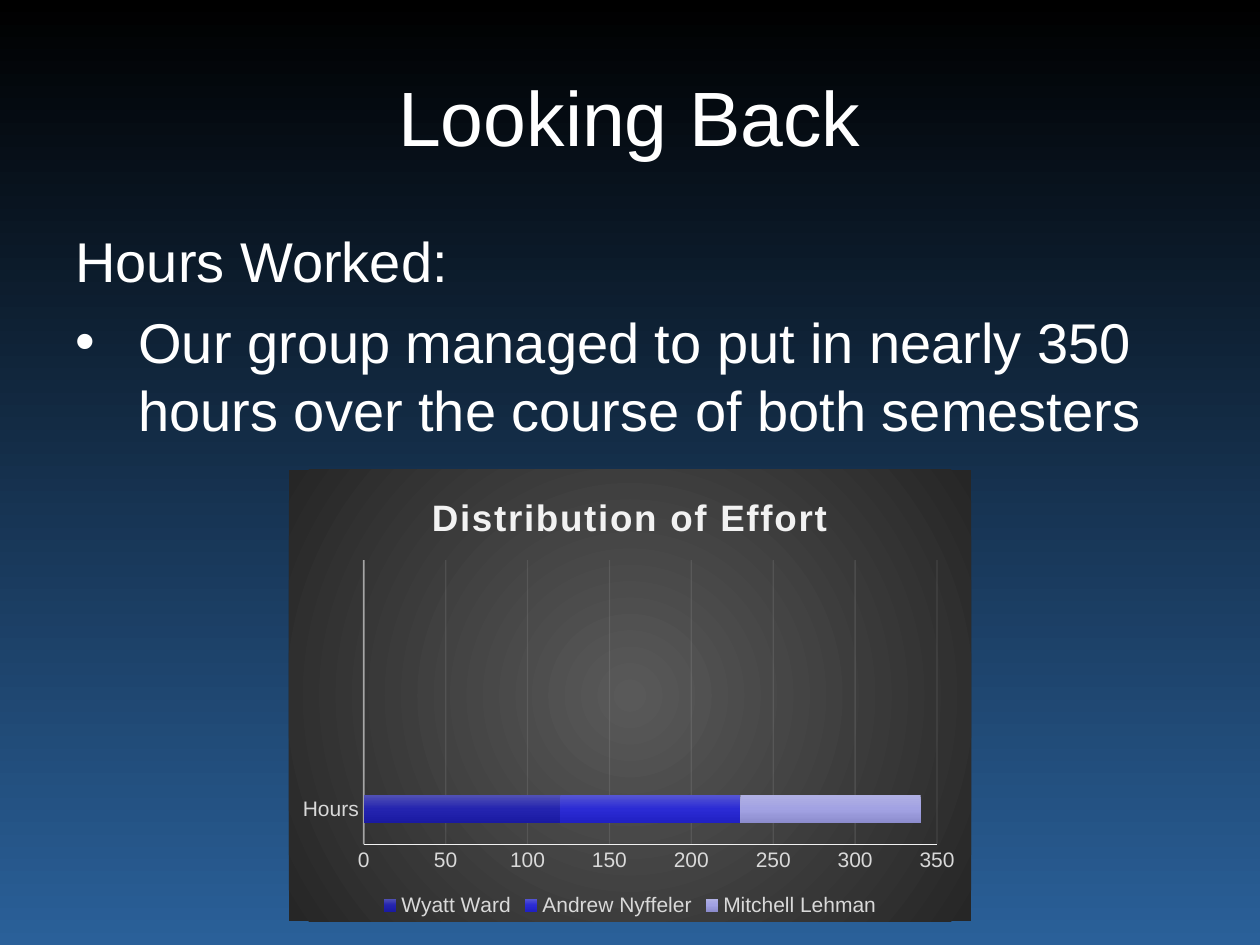
from dataclasses import dataclass

from lxml import etree
from pptx import Presentation
from pptx.chart.data import CategoryChartData
from pptx.dml.color import RGBColor
from pptx.enum.chart import XL_CHART_TYPE, XL_LEGEND_POSITION, XL_TICK_MARK
from pptx.enum.text import MSO_ANCHOR, PP_ALIGN
from pptx.oxml import parse_xml
from pptx.oxml.ns import qn
from pptx.util import Pt

STACKED = XL_CHART_TYPE.BAR_STACKED
BOTTOM = XL_LEGEND_POSITION.BOTTOM
NO_TICK = XL_TICK_MARK.NONE
TOP, MIDDLE = MSO_ANCHOR.TOP, MSO_ANCHOR.MIDDLE
LEFT, CENTER = PP_ALIGN.LEFT, PP_ALIGN.CENTER

FONT = "Arial"
COLORS = {"text": "FFFFFF", "label": "D9D9D9", "line": "F2F2F2"}
BACKGROUND = {0: "000000", 100: "2A6099"}
CHART_FILL = {0: "595959", 100: "262626"}
LINEAR = '<a:lin ang="5400000" scaled="0"/>'
RADIAL = '<a:path path="circle"><a:fillToRect l="50000" t="50000" r="50000" b="50000"/></a:path>'
DRAWING = 'xmlns:a="http://schemas.openxmlformats.org/drawingml/2006/main"'
CHART = 'xmlns:c="http://schemas.openxmlformats.org/drawingml/2006/chart"'


@dataclass
class TextLine:
    text: str
    size: float
    align: PP_ALIGN = LEFT
    space_before: float = 0
    bullet_indent: float = 0


@dataclass
class Member:
    name: str
    hours: int
    stops: dict[int, str]


MEMBERS = [
    Member("Wyatt Ward", 120, {0: "5252B5", 50: "2424AF", 100: "1A1AA2"}),
    Member("Andrew Nyffeler", 110, {0: "5757D3", 50: "2B2BD4", 100: "2020C3"}),
    Member("Mitchell Lehman", 110, {0: "B0B0E4", 50: "A2A2E3", 100: "8C8CCD"}),
]


def gradient_xml(stops: dict[int, str], direction: str = LINEAR) -> str:
    stop_xml = "".join(
        f'<a:gs pos="{position * 1000}"><a:srgbClr val="{color}"/></a:gs>'
        for position, color in stops.items()
    )
    return f'<a:gradFill {DRAWING} rotWithShape="1"><a:gsLst>{stop_xml}</a:gsLst>{direction}</a:gradFill>'


def fill_gradient(fill, owner, stops: dict[int, str]) -> None:
    fill.solid()
    solid = next(owner.iter(qn("a:solidFill")))
    solid.getparent().replace(solid, parse_xml(gradient_xml(stops)))


def style_font(font, size: float, color: str) -> None:
    font.name = FONT
    font.size = Pt(size)
    font.color.rgb = RGBColor.from_string(COLORS[color])


def style_line(line, width: float, opacity: int = 100) -> None:
    line.width = Pt(width)
    line.color.rgb = RGBColor.from_string(COLORS["line"])
    if opacity < 100:
        color = line.fill._xPr.find(".//" + qn("a:srgbClr"))
        etree.SubElement(color, qn("a:alpha"), val=str(opacity * 1000))


def add_text(slide, box: tuple, lines: list[TextLine], anchor: MSO_ANCHOR) -> None:
    frame = slide.shapes.add_textbox(*map(Pt, box)).text_frame
    frame.word_wrap = True
    frame.vertical_anchor = anchor
    for index, line in enumerate(lines):
        paragraph = frame.add_paragraph() if index else frame.paragraphs[0]
        paragraph.text = line.text
        paragraph.alignment = line.align
        paragraph.space_before = Pt(line.space_before)
        style_font(paragraph.font, line.size, "text")
        if line.bullet_indent:
            properties = paragraph._p.get_or_add_pPr()
            indent = Pt(line.bullet_indent)
            properties.set("marL", str(indent))
            properties.set("indent", str(-indent))
            for tag in (f'buFont {DRAWING} typeface="{FONT}"', f'buChar {DRAWING} char="\u2022"'):
                bullet = parse_xml(f"<a:{tag}/>")
                properties.insert_element_before(bullet, "a:tabLst", "a:defRPr", "a:extLst")


def layout_xml(target: str, **fractions: float) -> str:
    inner = f'<c:layoutTarget val="{target}"/>' if target else ""
    modes = "".join(f'<c:{axis}Mode val="edge"/>' for axis in "xy")
    values = "".join(f'<c:{key} val="{value}"/>' for key, value in fractions.items())
    return f"<c:layout {CHART}><c:manualLayout>{inner}{modes}{values}</c:manualLayout></c:layout>"


def set_layout(parent, position: int, xml: str) -> None:
    for layout in parent.findall(qn("c:layout")):
        parent.remove(layout)
    parent.insert(position, parse_xml(xml))


def style_axis(axis, width: float, opacity: int = 100) -> None:
    axis.major_tick_mark = axis.minor_tick_mark = NO_TICK
    style_font(axis.tick_labels.font, 12, "label")
    style_line(axis.format.line, width, opacity)


def add_effort_chart(slide, box: tuple) -> None:
    data = CategoryChartData()
    data.categories = ["Hours", "", "", ""]
    for member in MEMBERS:
        data.add_series(member.name, [member.hours, None, None, None])
    chart = slide.shapes.add_chart(STACKED, *map(Pt, box), data).chart
    style_font(chart.font, 12, "label")

    chart.has_title = True
    title = chart.chart_title.text_frame.paragraphs[0]
    title.text = "Distribution of Effort"
    style_font(title.font, 21, "line")
    title.font.bold = True
    title._p.pPr.find(qn("a:defRPr")).set("spc", "100")
    title.runs[0].font._element.set("spc", "100")
    set_layout(chart.chart_title._element, 1, layout_xml("", x=0.2, y=0.04))

    chart.has_legend = True
    chart.legend.position = BOTTOM
    chart.legend.include_in_layout = False
    style_font(chart.legend.font, 12, "label")

    style_axis(chart.category_axis, 1, 54)
    axis = chart.value_axis
    style_axis(axis, 0.75)
    axis.minimum_scale, axis.maximum_scale, axis.major_unit = 0, 350, 50
    axis.has_major_gridlines = True
    style_line(axis.major_gridlines.format.line, 0.75, 10)

    plot = chart.plots[0]
    plot.gap_width, plot.overlap = 150, 100
    plot.vary_by_categories = False
    for series, member in zip(plot.series, MEMBERS):
        fill_gradient(series.format.fill, series._element, member.stops)

    chart_space = chart._chartSpace
    plot_area = chart_space.find(".//" + qn("c:plotArea"))
    set_layout(plot_area, 0, layout_xml("inner", x=0.11, y=0.2, w=0.84, h=0.63))
    background = f"<c:spPr {CHART} {DRAWING}>{gradient_xml(CHART_FILL, RADIAL)}<a:ln><a:noFill/></a:ln></c:spPr>"
    chart_space.find(qn("c:chart")).addnext(parse_xml(background))


def main() -> None:
    presentation = Presentation()
    presentation.slide_width, presentation.slide_height = Pt(720), Pt(540)
    slide = presentation.slides.add_slide(presentation.slide_layouts[6])
    fill_gradient(slide.background.fill, slide.element, BACKGROUND)
    add_text(slide, (36, 21.6, 647.5, 89.5), [TextLine("Looking Back", 44, CENTER)], MIDDLE)
    body = [
        TextLine("Hours Worked:", 32, space_before=8),
        TextLine(
            "Our group managed to put in nearly 350 hours over the course of both semesters",
            32, space_before=8, bullet_indent=36,
        ),
    ]
    add_text(slide, (36, 126, 647.5, 355.5), body, TOP)
    add_effort_chart(slide, (165, 268.5, 390, 258))
    presentation.save("out.pptx")


main()
